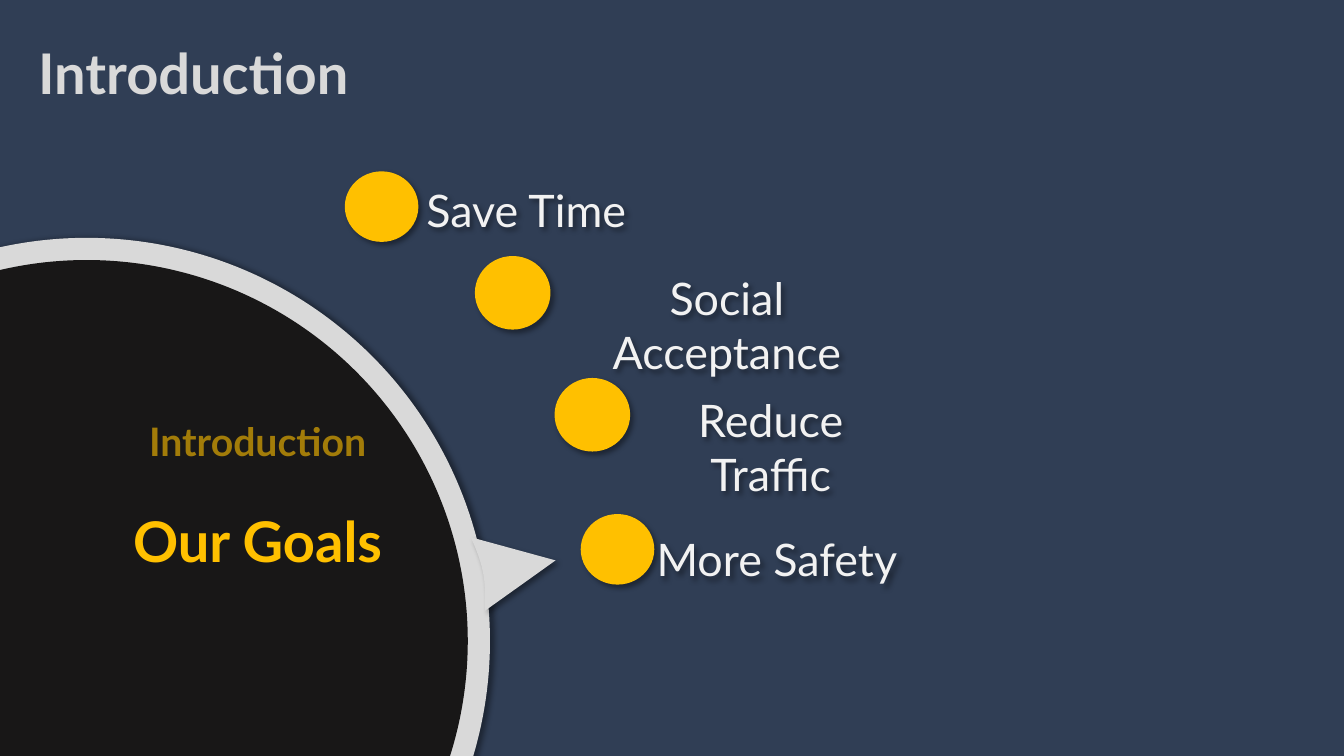
from lxml import etree
from pptx import Presentation
from pptx.dml.color import RGBColor
from pptx.enum.shapes import MSO_SHAPE
from pptx.enum.text import MSO_AUTO_SIZE, PP_ALIGN
from pptx.oxml.ns import qn
from pptx.util import Inches, Pt

OVAL = MSO_SHAPE.OVAL
LEFT, MID = PP_ALIGN.LEFT, PP_ALIGN.CENTER
GROW = MSO_AUTO_SIZE.SHAPE_TO_FIT_TEXT
FONT = "Lato"

COLORS = {
    "back": "303E55",
    "gold": "FFC000",
    "ring": "D9D9D9",
    "disc": "181717",
    "text": "F2F2F2",
    "shade": "000000",
}

SMALL, LARGE = (0.73, 0.7), (0.75, 0.73)
GOALS = [
    ("Save Time", (3.42, 1.7), SMALL, (4.12, 1.76, 2.2)),
    ("Social Acceptance", (4.71, 2.54), LARGE, (5.46, 2.64, 3.5)),
    ("Reduce Traffic", (5.5, 3.75), LARGE, (6.23, 3.85, 2.83)),
    ("More Safety", (5.76, 5.1), SMALL, (6.2, 5.23, 3.01)),
]
HEADS = [
    ("Introduction", (0.71, 4.09, 3.69, 0.57), 28, "gold", MID, 60),
    ("Our Goals", (0.71, 4.98, 3.69, 0.77), 40, "gold", MID, 100),
    ("Introduction", (0.28, 0.33, 5.13, 0.77), 40, "ring", LEFT, 100),
]
HUB = (0.86, 6.36)
RINGS = [(4, "ring"), (3.78, "disc")]
TIP = [(4.67, 5.33), (5.51, 5.56), (4.81, 6.06)]
BEND = [(4.81, 6.06), (4.82, 5.75), (4.8, 5.62), (4.67, 5.33)]
STEPS = 8


def rgb(name):
    return RGBColor.from_string(COLORS[name])


def add_shade(shape, angle=45):
    shape.shadow.inherit = False
    effects = shape._element.spPr.find(qn("a:effectLst"))
    shade = etree.SubElement(
        effects, qn("a:outerShdw"), blurRad=str(Pt(4)), dist=str(Pt(3)),
        dir=str(angle * 60000), algn="tl", rotWithShape="0")
    color = etree.SubElement(shade, qn("a:srgbClr"), val=COLORS["shade"])
    etree.SubElement(color, qn("a:alpha"), val="40000")


def paint(shape, color):
    shape.shadow.inherit = False
    shape.fill.solid()
    shape.fill.fore_color.rgb = rgb(color)
    shape.line.fill.background()


def add_oval(slide, box, color):
    oval = slide.shapes.add_shape(OVAL, *map(Inches, box))
    paint(oval, color)
    return oval


def add_label(slide, words, box, size, color, align, bold=False, alpha=100):
    label = slide.shapes.add_textbox(*map(Inches, box))
    frame = label.text_frame
    frame.text = words
    frame.word_wrap = True
    frame.auto_size = GROW
    para = frame.paragraphs[0]
    para.alignment = align
    font = para.runs[0].font
    font.name, font.size, font.bold = FONT, Pt(size), bold
    font.color.rgb = rgb(color)
    if alpha < 100:
        tone = para.runs[0]._r.rPr.find(".//" + qn("a:srgbClr"))
        etree.SubElement(tone, qn("a:alpha"), val=str(alpha * 1000))
    return label


def curve(points, t):
    rates = [(1 - t) ** 3, 3 * t * (1 - t) ** 2, 3 * t * t * (1 - t), t ** 3]
    return tuple(sum(r * p[i] for r, p in zip(rates, points)) for i in (0, 1))


def add_tip(slide):
    arc = [curve(BEND, n / STEPS) for n in range(1, STEPS)]
    points = [tuple(map(Inches, p)) for p in TIP + arc]
    pen = slide.shapes.build_freeform(*points[0])
    pen.add_line_segments(points[1:], close=True)
    tip = pen.convert_to_shape()
    paint(tip, "ring")
    add_shade(tip)


def main():
    deck = Presentation()
    deck.slide_width, deck.slide_height = Inches(13.33), Inches(7.5)
    slide = deck.slides.add_slide(deck.slide_layouts[6])
    slide.background.fill.solid()
    slide.background.fill.fore_color.rgb = rgb("back")

    for words, spot, size, place in GOALS:
        add_shade(add_oval(slide, spot + size, "gold"))

    for radius, color in RINGS:
        x, y = (c - radius for c in HUB)
        disc = add_oval(slide, (x, y, 2 * radius, 2 * radius), color)
        if color == "ring":
            add_shade(disc, 0)
            add_tip(slide)

    for words, spot, size, place in GOALS:
        add_shade(add_label(slide, words, place + (0.64,), 32, "text", MID))

    for words, box, size, color, align, alpha in HEADS:
        add_label(slide, words, box, size, color, align, True, alpha)

    deck.save("out.pptx")


if __name__ == "__main__":
    main()
